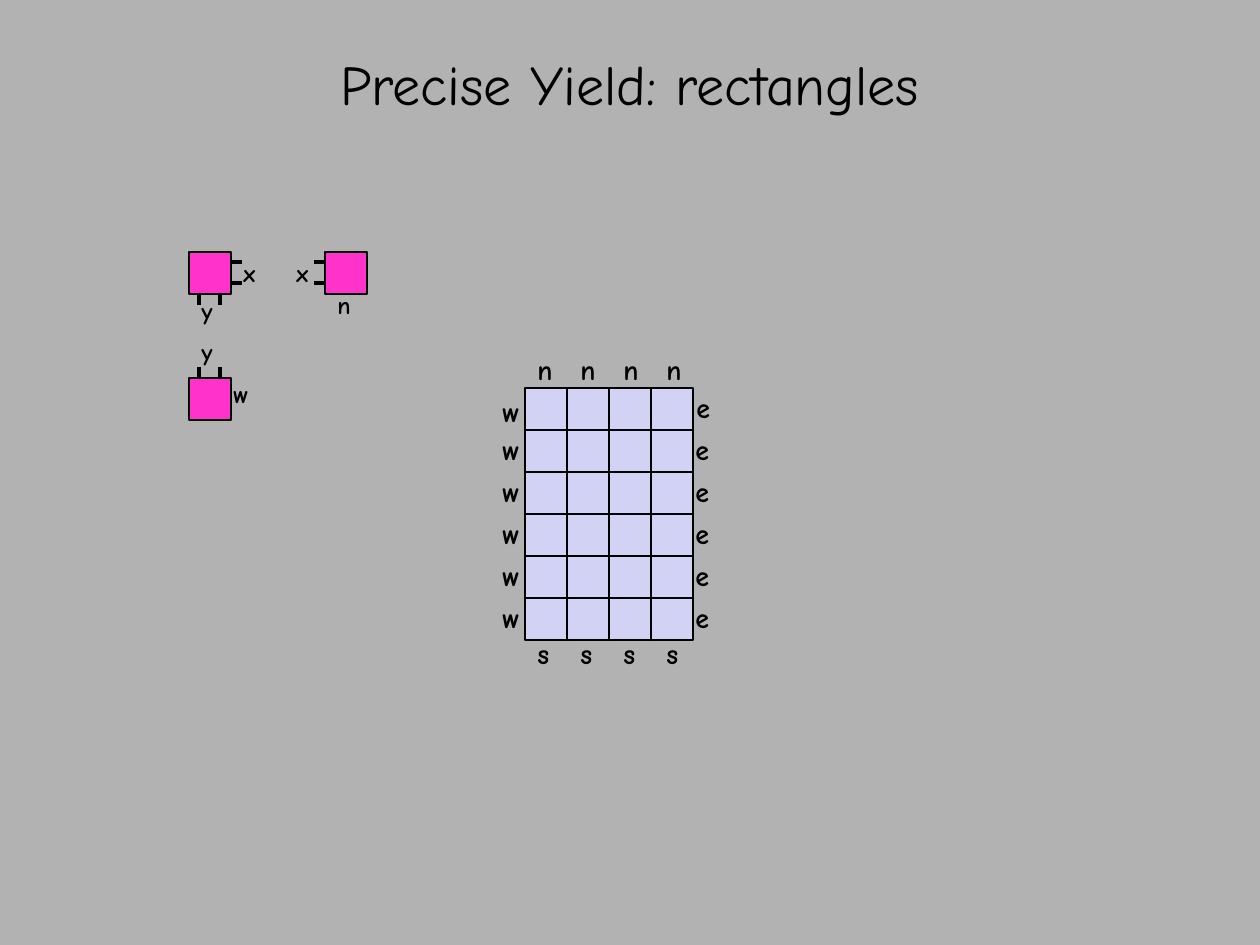
from dataclasses import dataclass

from lxml import etree
from pptx import Presentation
from pptx.dml.color import RGBColor
from pptx.enum.shapes import MSO_CONNECTOR, MSO_SHAPE
from pptx.enum.text import MSO_ANCHOR, MSO_AUTO_SIZE, PP_ALIGN
from pptx.oxml.ns import qn
from pptx.util import Emu, Pt

LINE, RECT = MSO_CONNECTOR.STRAIGHT, MSO_SHAPE.RECTANGLE
TOP, MID, FIT = MSO_ANCHOR.TOP, PP_ALIGN.CENTER, MSO_AUTO_SIZE.SHAPE_TO_FIT_TEXT
PX = 914400 / 126


@dataclass(frozen=True)
class Theme:
    font: str = "Comic Neue"
    back: str = "B2B2B2"
    ink: str = "000000"
    cell: str = "D2D2F4"
    tile: str = "FF33CC"
    title: int = 32
    edge: int = 16
    glue: int = 14
    thin: float = 0.75
    thick: float = 2.25


THEME = Theme()

# Content
TITLE = "Precise Yield: rectangles"
SIDE = 42
COLS, ROWS = 4, 6
LEFT, HEAD = 525, 388
# tile corner and the sides that carry tabs
TILES = [
    (189, 252, ["right", "bottom"]),
    (325, 252, ["left"]),
    (189, 378, ["top"]),
]
TABS, REACH = (10, 31), 11
# text, left, top, width
GLUES = [
    ("n", 325, 284, 39), ("w", 221, 373, 43),
    ("x", 231, 252, 40), ("x", 284, 252, 40),
    ("y", 189, 290, 39), ("y", 189, 331, 39),
]
# The top row's side labels sit slightly apart from the rest
WEST = [(490, 388)] + [(490, 384 + SIDE * row) for row in range(1, ROWS)]
EAST = [(684, 384)] + [(683, 384 + SIDE * row) for row in range(1, ROWS)]
STEP = SIDE + 1
EDGES = (
    [("n", LEFT + STEP * col, 346, 40) for col in range(COLS)]
    + [("e", x, y, 42) for x, y in EAST]
    + [("w", x, y, 45) for x, y in WEST]
    + [("s", LEFT + STEP * col, 630, 40) for col in range(COLS)]
)


def px(n):
    return Emu(round(n * PX))


def color(code):
    return RGBColor.from_string(code)


def write(frame, text, size, bold):
    run = frame.paragraphs[0].add_run()
    run.text = text
    run.font.name = THEME.font
    run.font.size = Pt(size)
    run.font.bold = bold
    run.font.color.rgb = color(THEME.ink)


def square(slide, x, y, fill):
    shape = slide.shapes.add_shape(RECT, px(x), px(y), px(SIDE), px(SIDE))
    shape.shadow.inherit = False
    shape.fill.solid()
    shape.fill.fore_color.rgb = color(fill)
    shape.line.color.rgb = color(THEME.ink)
    shape.line.width = Pt(THEME.thin)


def label(slide, text, x, y, width, height, size):
    box = slide.shapes.add_textbox(px(x), px(y), px(width), px(height))
    frame = box.text_frame
    frame.word_wrap = False
    frame.auto_size = FIT
    write(frame, text, size, True)


def tab(slide, x, y, side, shift):
    ends = {
        "left": (-REACH, shift, 0, shift),
        "right": (SIDE, shift, SIDE + REACH, shift),
        "top": (shift, -REACH, shift, 0),
        "bottom": (shift, SIDE, shift, SIDE + REACH),
    }
    x1, y1, x2, y2 = ends[side]
    line = slide.shapes.add_connector(
        LINE, px(x + x1), px(y + y1), px(x + x2), px(y + y2))
    line.line.color.rgb = color(THEME.ink)
    line.line.width = Pt(THEME.thick)
    etree.SubElement(line._element.spPr, qn("a:effectLst"))


def main():
    deck = Presentation()
    deck.slide_width, deck.slide_height = px(1260), px(945)
    slide = deck.slides.add_slide(deck.slide_layouts[6])
    slide.background.fill.solid()
    slide.background.fill.fore_color.rgb = color(THEME.back)

    # Title
    frame = slide.shapes.add_textbox(0, 0, px(1260), px(84)).text_frame
    frame.word_wrap = True
    frame.vertical_anchor = TOP
    frame.margin_top = px(49)
    frame.paragraphs[0].alignment = MID
    write(frame, TITLE, THEME.title, False)

    # Grid with its edge labels
    for row in range(ROWS):
        for col in range(COLS):
            square(slide, LEFT + SIDE * col, HEAD + SIDE * row, THEME.cell)
    for text, x, y, width in EDGES:
        label(slide, text, x, y, width, 47, THEME.edge)

    # Loose tiles with their tabs and glues
    for x, y, sides in TILES:
        square(slide, x, y, THEME.tile)
        for side in sides:
            for shift in TABS:
                tab(slide, x, y, side, shift)
    for text, x, y, width in GLUES:
        label(slide, text, x, y, width, 43, THEME.glue)

    deck.save("out.pptx")


if __name__ == "__main__":
    main()
